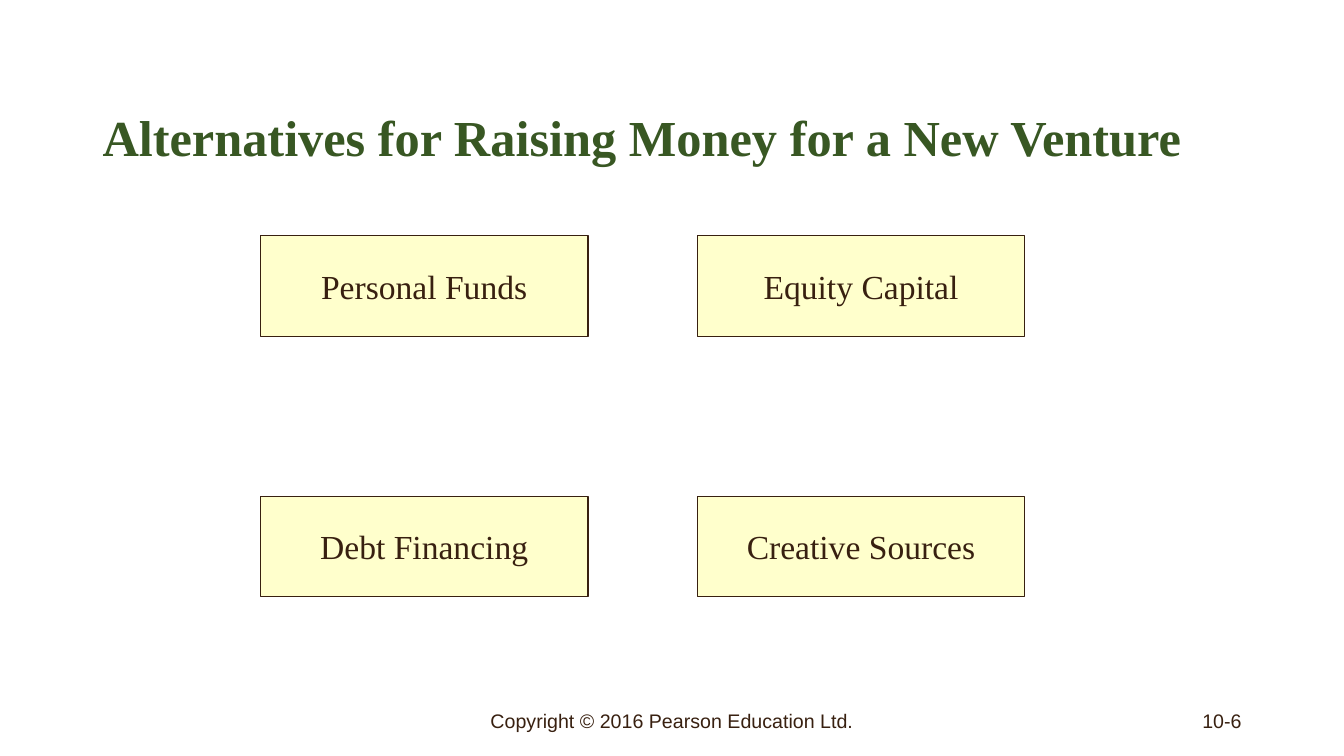
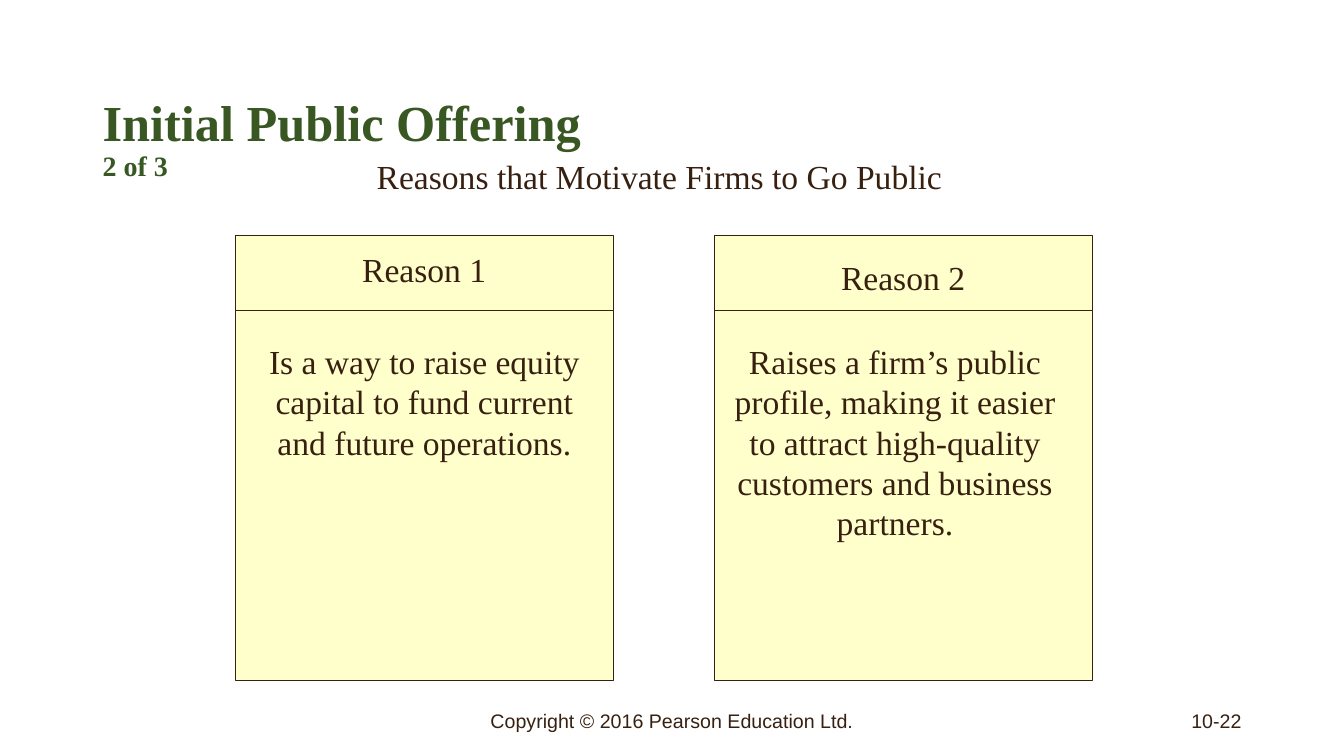
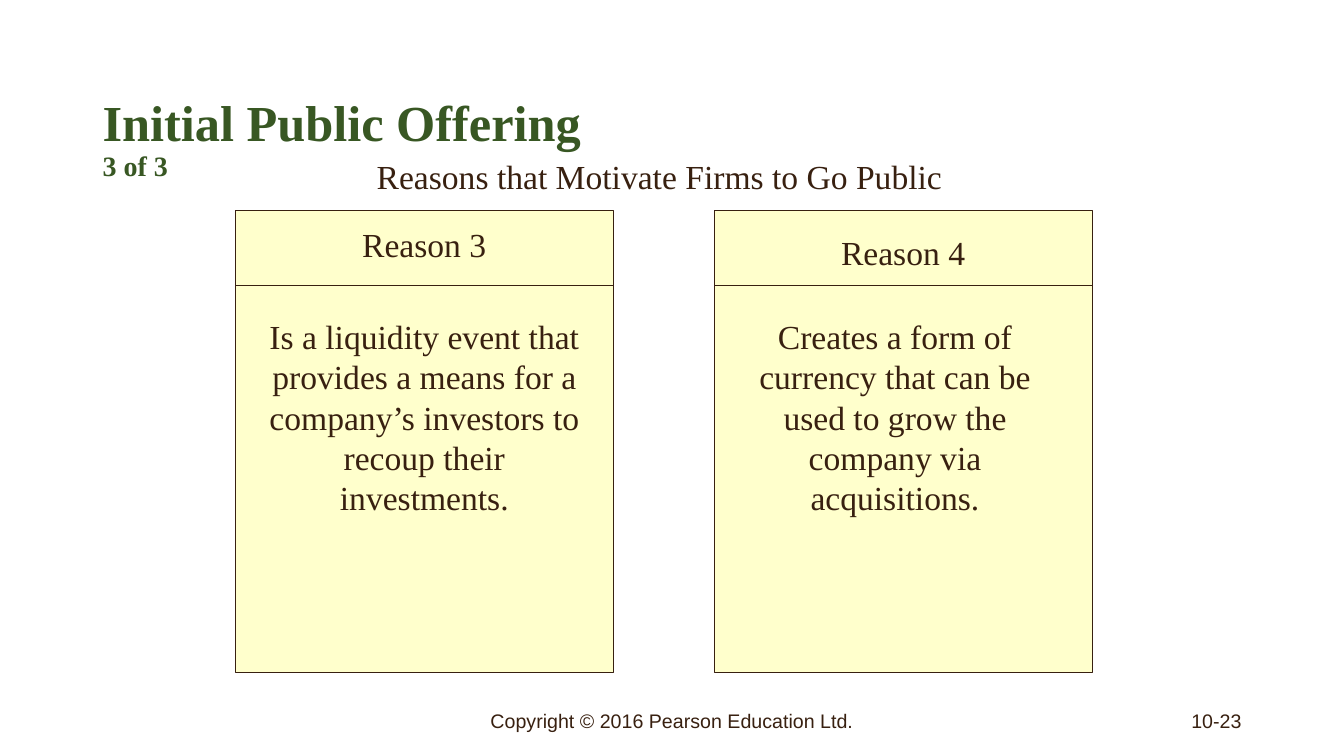
from lxml import etree
from pptx import Presentation
from pptx.dml.color import RGBColor
from pptx.enum import shapes, text
from pptx.util import Cm, Pt

GREEN, BROWN, CREAM = "385723", "382010", "FFFFCC"
SERIF, SANS = "Times New Roman", "Arial"
LEFT, CENTER, RIGHT = text.PP_ALIGN.LEFT, text.PP_ALIGN.CENTER, text.PP_ALIGN.RIGHT
TOP, MIDDLE = text.MSO_ANCHOR.TOP, text.MSO_ANCHOR.MIDDLE

FOOTER = "Copyright © 2016 Pearson Education Ltd."
SOURCES = {
    "title": "Alternatives for Raising Money for a New Venture",
    "number": "10-6",
    "boxes": ["Personal Funds", "Equity Capital", "Debt Financing", "Creative Sources"],
}
OFFERING = "Initial Public Offering"
MOTIVES = "Reasons that Motivate Firms to Go Public"
REASONS = [
    {"part": "2 of 3", "number": "10-22", "top": 5.93, "height": 11.22, "cards": [
        ("Reason 1", "Is a way to raise equity capital to fund current and future operations."),
        ("Reason 2", "Raises a firm’s public profile, making it easier to attract "
                     "high-quality customers and business partners."),
    ]},
    {"part": "3 of 3", "number": "10-23", "top": 5.3, "height": 11.64, "cards": [
        ("Reason 3", "Is a liquidity event that provides a means for a company’s "
                     "investors to recoup their investments."),
        ("Reason 4", "Creates a form of currency that can be used to grow the company "
                     "via acquisitions."),
    ]},
]


def color(code):
    return RGBColor.from_string(code)


def write(frame, words, size=24, font=SERIF, ink=BROWN, bold=False,
          align=CENTER, anchor=TOP, wrap=True):
    """Add a run to the first paragraph of the frame and format it."""
    frame.word_wrap = wrap
    frame.vertical_anchor = anchor
    para = frame.paragraphs[0]
    para.alignment = align
    run = para.add_run()
    run.text = words
    run.font.size, run.font.name, run.font.bold = Pt(size), font, bold
    run.font.color.rgb = color(ink)


def label(slide, words, x, y, w, h=1.3, **style):
    box = slide.shapes.add_textbox(Cm(x), Cm(y), Cm(w), Cm(h))
    write(box.text_frame, words, **style)


def panel(slide, x, y, w, h):
    box = slide.shapes.add_shape(shapes.MSO_SHAPE.RECTANGLE, Cm(x), Cm(y), Cm(w), Cm(h))
    box.shadow.inherit = False
    box.fill.solid()
    box.fill.fore_color.rgb = color(CREAM)
    box.line.color.rgb = color(BROWN)
    box.line.width = Pt(0.75)
    return box


def rule(slide, x, y, w):
    line = slide.shapes.add_connector(
        shapes.MSO_CONNECTOR.STRAIGHT, Cm(x), Cm(y), Cm(x + w), Cm(y))
    line.line.color.rgb = color(BROWN)
    line.line.width = Pt(0.5)
    props = line.element.spPr
    etree.SubElement(props, props.tag.split("}")[0].replace(
        "presentationml", "drawingml") .replace("2006/main", "2006/main") + "}effectLst")


def start(deck, title, number, part=None):
    """Add a slide with its title, footer and page number."""
    slide = deck.slides.add_slide(deck.slide_layouts[5])
    head = slide.shapes.title
    head.left, head.top, head.width, head.height = Cm(2.33), Cm(1.7), Cm(29.21), Cm(3.68)
    frame = head.text_frame
    frame.auto_size = text.MSO_AUTO_SIZE.NONE
    style = dict(ink=GREEN, bold=True, align=LEFT, anchor=MIDDLE)
    write(frame, title, size=36, **style)
    frame.paragraphs[0].line_spacing = 0.9
    if part:
        frame.paragraphs[0].add_line_break()
        write(frame, part, size=20, **style)
    small = dict(size=14, font=SANS, anchor=MIDDLE)
    label(slide, FOOTER, 11.22, 17.66, 11.43, 1.01, **small)
    label(slide, number, 23.92, 17.66, 7.62, 1.01, align=RIGHT, **small)
    return slide


def sources(deck):
    slide = start(deck, SOURCES["title"], SOURCES["number"])
    for i, words in enumerate(SOURCES["boxes"]):
        row, col = divmod(i, 2)
        box = panel(slide, 6.56 + col * 11.01, 5.93 + row * 6.57, 8.26, 2.54)
        write(box.text_frame, words, anchor=MIDDLE, wrap=False)


def reasons(deck, page):
    slide = start(deck, OFFERING, page["number"], page["part"])
    label(slide, MOTIVES, 8.26, 3.81, 16.72)
    top, width = page["top"], 9.53
    for col, (name, body) in enumerate(page["cards"]):
        x = 5.93 + col * 12.07
        panel(slide, x, top, width, page["height"])
        rule(slide, x, top + 1.9, width)
        label(slide, name, x + 0.21, top + 0.21 * (col + 1), 9.1)
        label(slide, body, x + 0.21 * (2 - col), top + 2.54, 8.69, 5.38)


def main():
    deck = Presentation()
    deck.slide_width, deck.slide_height = Cm(33.87), Cm(19.05)
    sources(deck)
    for page in REASONS:
        reasons(deck, page)
    deck.save("out.pptx")


if __name__ == "__main__":
    main()
